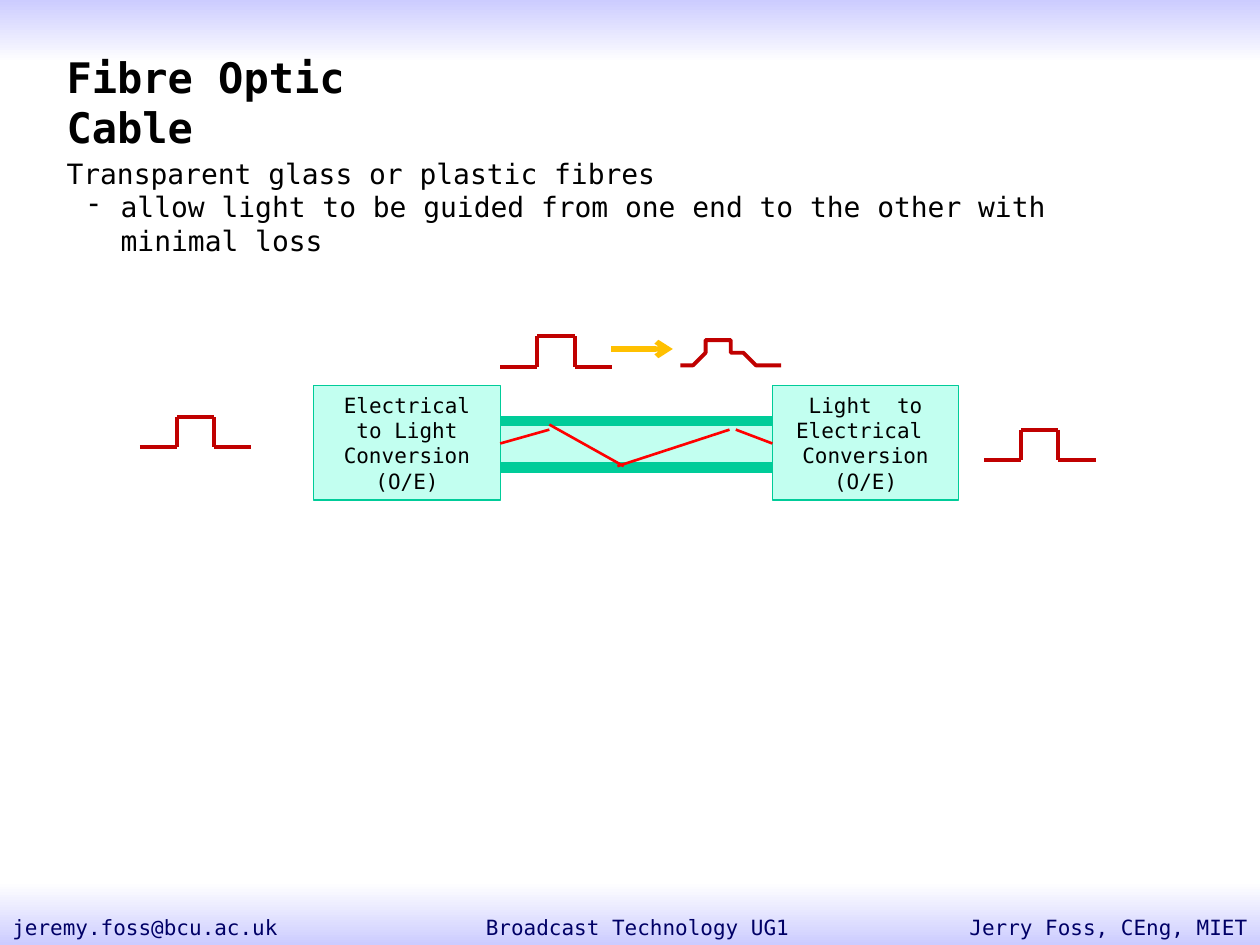
from itertools import pairwise

from lxml import etree
from pptx import Presentation
from pptx.dml.color import RGBColor
from pptx.enum.shapes import MSO_CONNECTOR, MSO_SHAPE
from pptx.enum.text import PP_ALIGN
from pptx.oxml.ns import qn
from pptx.util import Inches, Pt

LEFT, CENTER, RIGHT = PP_ALIGN.LEFT, PP_ALIGN.CENTER, PP_ALIGN.RIGHT
RECT, STRAIGHT = MSO_SHAPE.RECTANGLE, MSO_CONNECTOR.STRAIGHT
CELL = Inches(0.1)  # the slide is a grid of 100 columns by 75 rows
COLUMNS, ROWS = 100, 75
WHITE, LAVENDER, NAVY, BLACK = "FFFFFF", "CCCCFF", "000066", "000000"
MINT, GREEN = "C2FFF0", "00CC99"
RED, CRIMSON, AMBER = "FF0000", "C00000", "FFC000"
color = RGBColor.from_string


def write(frame, *lines, size=12, ink=BLACK, bold=False, align=LEFT):
    frame.word_wrap = True
    for i, line in enumerate(lines):
        paragraph = frame.paragraphs[0] if i == 0 else frame.add_paragraph()
        paragraph.alignment = align
        run = paragraph.add_run()
        run.text = line
        run.font.name = "DejaVu Sans Mono"
        run.font.size = Pt(size)
        run.font.bold = bold
        run.font.color.rgb = color(ink)


def connect(parent, start, end, ink, weight):
    line = parent.add_connector(STRAIGHT, *[round(v * CELL) for v in (*start, *end)])
    line.line.color.rgb = color(ink)
    line.line.width = Pt(weight)
    etree.SubElement(line._element.spPr, qn("a:effectLst"))
    return line


prs = Presentation()
prs.slide_width, prs.slide_height = COLUMNS * CELL, ROWS * CELL
shapes = prs.slides.add_slide(prs.slide_layouts[6]).shapes

# Shaded bands along the top and bottom edges
band_rows = 5
for top, shades in ((0, (LAVENDER, WHITE)), (ROWS - band_rows, (WHITE, LAVENDER))):
    band = shapes.add_shape(RECT, 0, top * CELL, COLUMNS * CELL, band_rows * CELL)
    band.shadow.inherit = False
    band.line.fill.background()
    band.fill.gradient()
    band.fill.gradient_angle = 270
    for stop, shade in zip(band.fill.gradient_stops, shades):
        stop.color.rgb = color(shade)

# Footer
for left, width, credit, align in (
    (26.6, 48, "Broadcast Technology UG1", CENTER),
    (0, 31.7, "jeremy.foss@bcu.ac.uk", LEFT),
    (68.3, 31.7, "Jerry Foss, CEng, MIET", RIGHT),
):
    footer = shapes.add_textbox(*[round(v * CELL) for v in (left, 72.1, width, 2.9)])
    write(footer.text_frame, credit, ink=NAVY, align=align)

# Fibre, with a converter at each end
converter_rows = (30.6, 9.1)
for left, top, width, height, edge, label in (
    (39.2, 33.4, 23.1, 3.7, 6, ()),
    (24.9, converter_rows[0], 14.8, converter_rows[1], 0.75,
     ("Electrical to Light Conversion", "(O/E)")),
    (61.3, converter_rows[0], 14.8, converter_rows[1], 0.75,
     ("Light  to Electrical  Conversion", "(O/E)")),
):
    block = shapes.add_shape(RECT, *[round(v * CELL) for v in (left, top, width, height)])
    block.shadow.inherit = False
    block.fill.solid()
    block.fill.fore_color.rgb = color(MINT)
    block.line.color.rgb = color(GREEN)
    block.line.width = Pt(edge)
    write(block.text_frame, *label, align=CENTER)

# Light ray bouncing along the fibre
for start, end in (
    ((39.7, 35.2), (43.6, 34.1)),
    ((43.6, 33.7), (49.5, 37)),
    ((49, 37), (57.9, 34.1)),
    ((58.4, 34.1), (61.3, 35.2)),
):
    connect(shapes, start, end, RED, 1.5)

# Square pulses: electrical in, electrical out, light entering the fibre
step, rise = 2.95, 2.4
for left, base in ((11.1, 35.5), (78.1, 36.5), (39.7, 29.1)):
    pulse = shapes.add_group_shape().shapes
    x = [left + n * step for n in range(4)]
    crest = base - rise
    corners = [(x[0], base), (x[1], base), (x[1], crest),
               (x[2], crest), (x[2], base), (x[3], base)]
    for start, end in pairwise(corners):
        connect(pulse, start, end, CRIMSON, 2.25)

# Rounded pulse leaving the fibre
curve = [
    (53.9, 28.9), (55, 28.8), (55.3, 28.6), (55.6, 28.4), (55.7, 27.9), (56, 27.6),
    (56.4, 27.35), (57, 27.2), (57.4, 27.2), (58.2, 27.35), (58.5, 27.6), (58.8, 27.9),
    (59.2, 28.4), (59.5, 28.6), (60.1, 28.7), (60.5, 28.9), (62, 28.9),
]
builder = shapes.build_freeform(*curve[0], scale=CELL)
builder.add_line_segments(curve[1:], close=False)
spread_pulse = builder.convert_to_shape()
spread_pulse.shadow.inherit = False
spread_pulse.fill.background()
spread_pulse.line.color.rgb = color(CRIMSON)
spread_pulse.line.width = Pt(2.25)

travel = connect(shapes, (48.5, 27.7), (53.4, 27.7), AMBER, 3)
etree.SubElement(travel.line._get_or_add_ln(), qn("a:tailEnd"), type="arrow")

# Title and text
title = shapes.add_textbox(*[round(v * CELL) for v in (4.3, 3.6, 30.2, 5.1)])
write(title.text_frame, "Fibre Optic Cable", size=24, bold=True)

body = shapes.add_textbox(*[round(v * CELL) for v in (4.3, 11.9, 88.5, 7.1)])
write(body.text_frame, "Transparent glass or plastic fibres",
      "allow light to be guided from one end to the other with minimal loss", size=16)
bullet = body.text_frame.paragraphs[1]._p.get_or_add_pPr()
bullet.set("marL", str(Inches(0.43)))
bullet.set("indent", str(Inches(-0.25)))
etree.SubElement(bullet, qn("a:buChar"), char="-")

prs.save("out.pptx")
